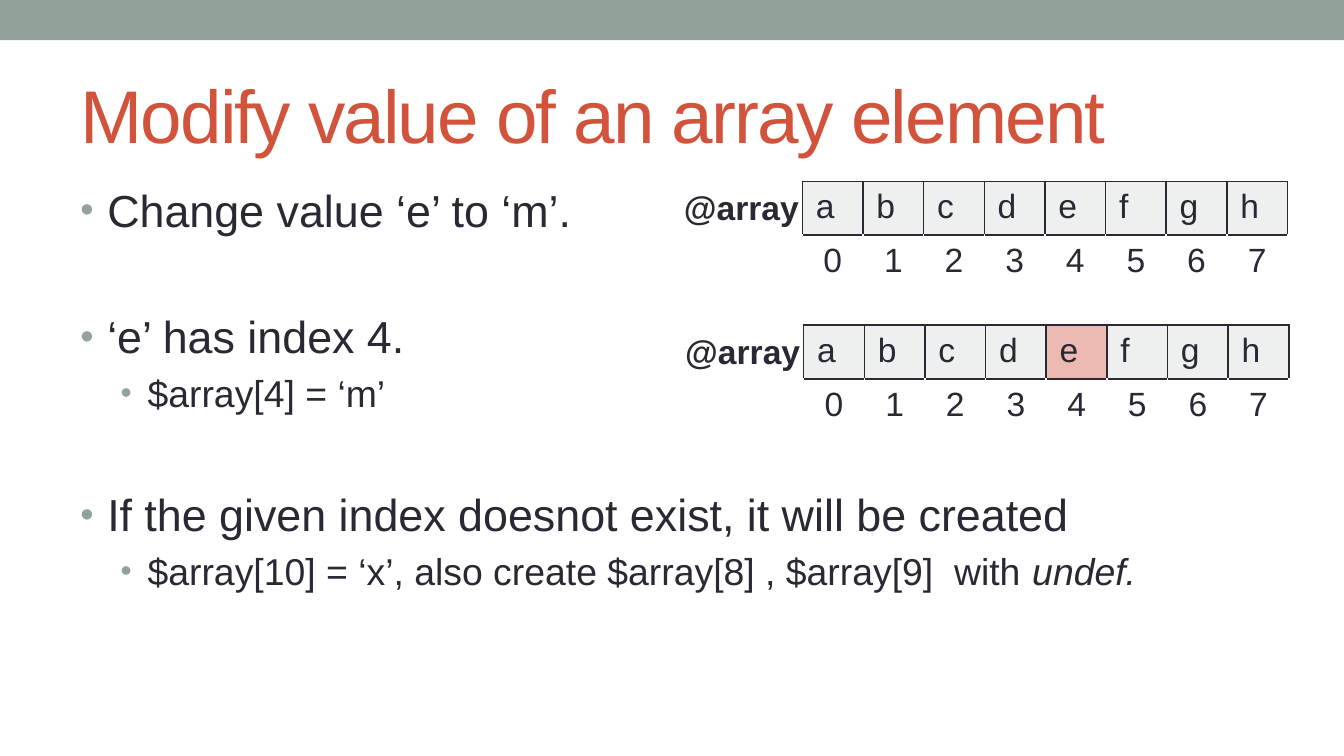
from lxml import etree
from pptx import Presentation
from pptx.dml.color import RGBColor
from pptx.enum.shapes import MSO_SHAPE
from pptx.enum.text import MSO_ANCHOR, MSO_AUTO_SIZE, PP_ALIGN
from pptx.oxml.ns import qn
from pptx.util import Inches, Pt

RECTANGLE = MSO_SHAPE.RECTANGLE
MIDDLE = MSO_ANCHOR.MIDDLE
NO_AUTOFIT = MSO_AUTO_SIZE.NONE
LEFT = PP_ALIGN.LEFT
CENTER = PP_ALIGN.CENTER

INK = "292934"
SAGE = "93A299"
RUST = "D2533C"
WHITE = "FFFFFF"
CELL = "EEF0EF"
CHANGED_CELL = "EDBAB1"

TITLE_ONLY = 5
LETTERS = "abcdefgh"
ARRAY_WIDTH = 3.61
LEVEL_FORMATS = [{"size": 24, "margin": 0.2}, {"size": 20, "margin": 0.5}]
BULLETS = [
    (0, 4, [("Change value ‘e’ to ‘m’.", False)]),
    (0, 39, [("‘e’ has index 4.", False)]),
    (1, 4, [("$array[4] = ‘m’", False)]),
    (0, 38.5, [("If the given index doesnot exist, it will be created", False)]),
    (1, 4, [("$array[10] = ‘x’, also create $array[8] , $array[9]  with ", False),
            ("undef.", True)]),
]


def rgb(color):
    return RGBColor.from_string(color)


def add_run(paragraph, text, color=INK, **formats):
    run = paragraph.add_run()
    run.text = text
    run.font.color.rgb = rgb(color)
    for name, value in {"name": "Arial", **formats}.items():
        setattr(run.font, name, value)
    return run


def add_child(parent, tag, **attributes):
    child = etree.SubElement(parent, qn(tag))
    for name, value in attributes.items():
        child.set(name, str(value))
    return child


def add_color(parent, color):
    add_child(parent, "a:srgbClr", val=color)


def add_header_bar(slide, width):
    bar = slide.shapes.add_shape(RECTANGLE, 0, 0, width, Inches(0.3))
    bar.shadow.inherit = False
    bar.fill.solid()
    bar.fill.fore_color.rgb = rgb(SAGE)
    bar.line.fill.background()


def set_title(slide, text):
    title = slide.shapes.title
    position = {"left": 0.5, "top": 0.44, "width": 9, "height": 0.81}
    for name, value in position.items():
        setattr(title, name, Inches(value))
    frame = title.text_frame
    frame.auto_size = NO_AUTOFIT
    frame.vertical_anchor = MIDDLE
    heading = frame.paragraphs[0]
    heading.alignment = LEFT
    run = add_run(heading, text, RUST, size=Pt(40))
    run._r.get_or_add_rPr().set("spc", "-100")


def add_text_frame(slide, left, top, width, height):
    box = slide.shapes.add_textbox(Inches(left), Inches(top), Inches(width), Inches(height))
    box.text_frame.word_wrap = True
    return box.text_frame


def set_bullet(paragraph, margin):
    properties = paragraph._p.get_or_add_pPr()
    properties.set("marL", str(Inches(margin)))
    properties.set("indent", str(Inches(-0.2)))
    add_color(add_child(properties, "a:buClr"), SAGE)
    add_child(properties, "a:buSzPct", val=85000)
    add_child(properties, "a:buFont", typeface="Arial")
    add_child(properties, "a:buChar", char="•")


def add_bullets(slide, bullets):
    frame = add_text_frame(slide, 0.5, 1.31, 9, 4)
    for index, (level, space_before, parts) in enumerate(bullets):
        paragraph = frame.add_paragraph() if index else frame.paragraphs[0]
        level_format = LEVEL_FORMATS[level]
        paragraph.level = level
        paragraph.space_before = Pt(space_before)
        set_bullet(paragraph, level_format["margin"])
        for text, italic in parts:
            add_run(paragraph, text, size=Pt(level_format["size"]), italic=italic)


def set_borders(cell, colors):
    properties = cell._tc.get_or_add_tcPr()
    for side in "LRTB":
        border = add_child(properties, f"a:ln{side}", w=Pt(1))
        add_color(add_child(border, "a:solidFill"), colors.get(side, INK))


def add_array(slide, left, top, row_height, changed=None):
    count = len(LETTERS)
    frame = slide.shapes.add_table(2, count, Inches(left), Inches(top),
                                   Inches(ARRAY_WIDTH), Inches(2 * row_height))
    table = frame.table
    table.first_row = False
    table.horz_banding = False
    for row in table.rows:
        row.height = Inches(row_height)

    for index, letter in enumerate(LETTERS):
        value_cell, index_cell = table.cell(0, index), table.cell(1, index)
        set_borders(value_cell, {})
        set_borders(index_cell, dict.fromkeys("LRB", WHITE))
        value_cell.fill.solid()
        value_cell.fill.fore_color.rgb = rgb(CHANGED_CELL if index == changed else CELL)
        index_cell.fill.background()
        add_run(value_cell.text_frame.paragraphs[0], letter, size=Pt(18))
        index_paragraph = index_cell.text_frame.paragraphs[0]
        index_paragraph.alignment = CENTER
        add_run(index_paragraph, str(index), size=Pt(18))

    label = add_text_frame(slide, left - 0.98, top - 0.01, 1.16, 0.4)
    add_run(label.paragraphs[0], "@array", size=Pt(18), bold=True)


def main():
    deck = Presentation()
    deck.slide_width = Inches(10)
    deck.slide_height = deck.slide_width * 9 // 16
    slide = deck.slides.add_slide(deck.slide_layouts[TITLE_ONLY])
    add_header_bar(slide, deck.slide_width)
    set_title(slide, "Modify value of an array element")
    add_bullets(slide, BULLETS)
    add_array(slide, 5.97, 1.35, 0.38)
    add_array(slide, 5.98, 2.42, 0.4, changed=4)
    deck.save("out.pptx")


if __name__ == "__main__":
    main()
